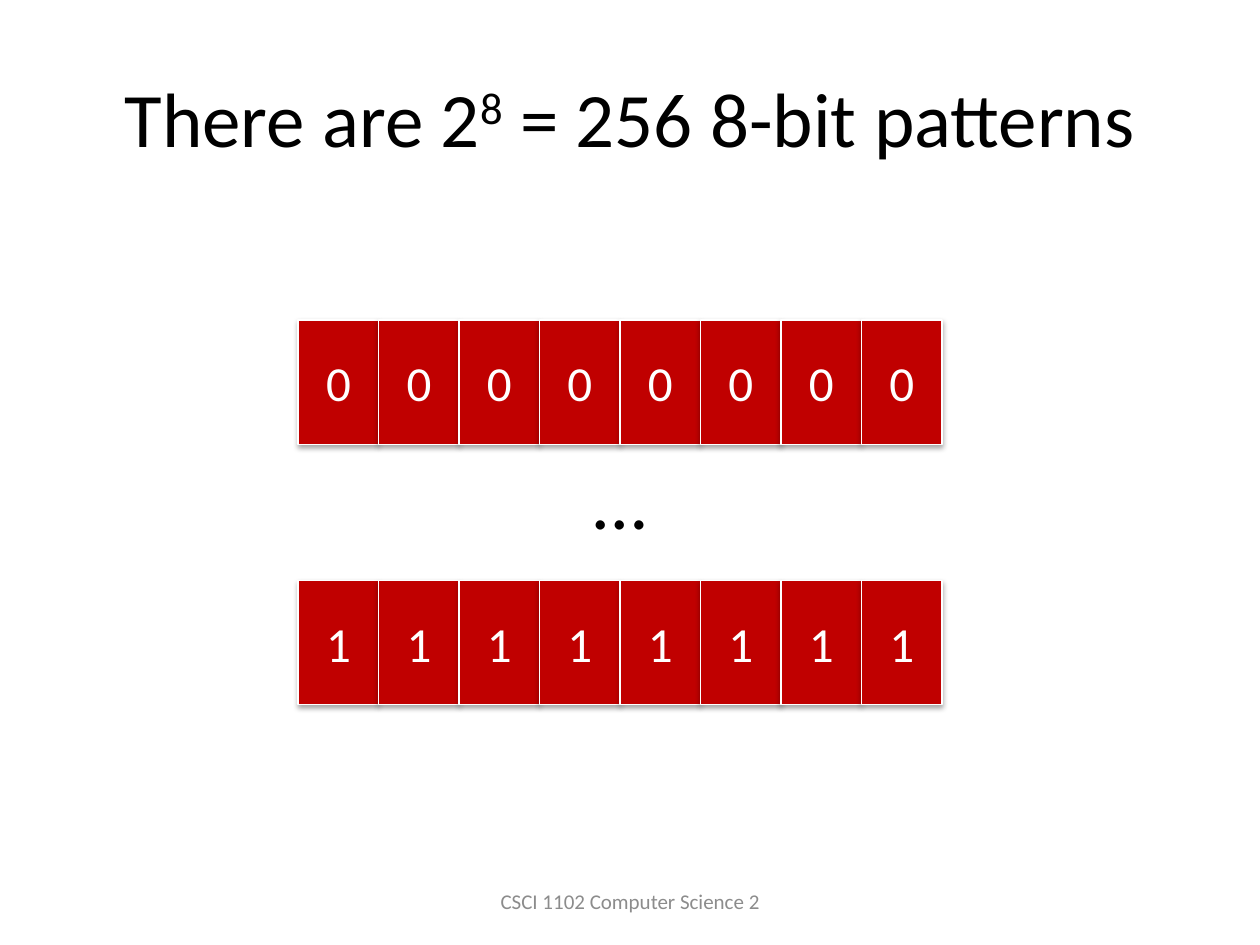
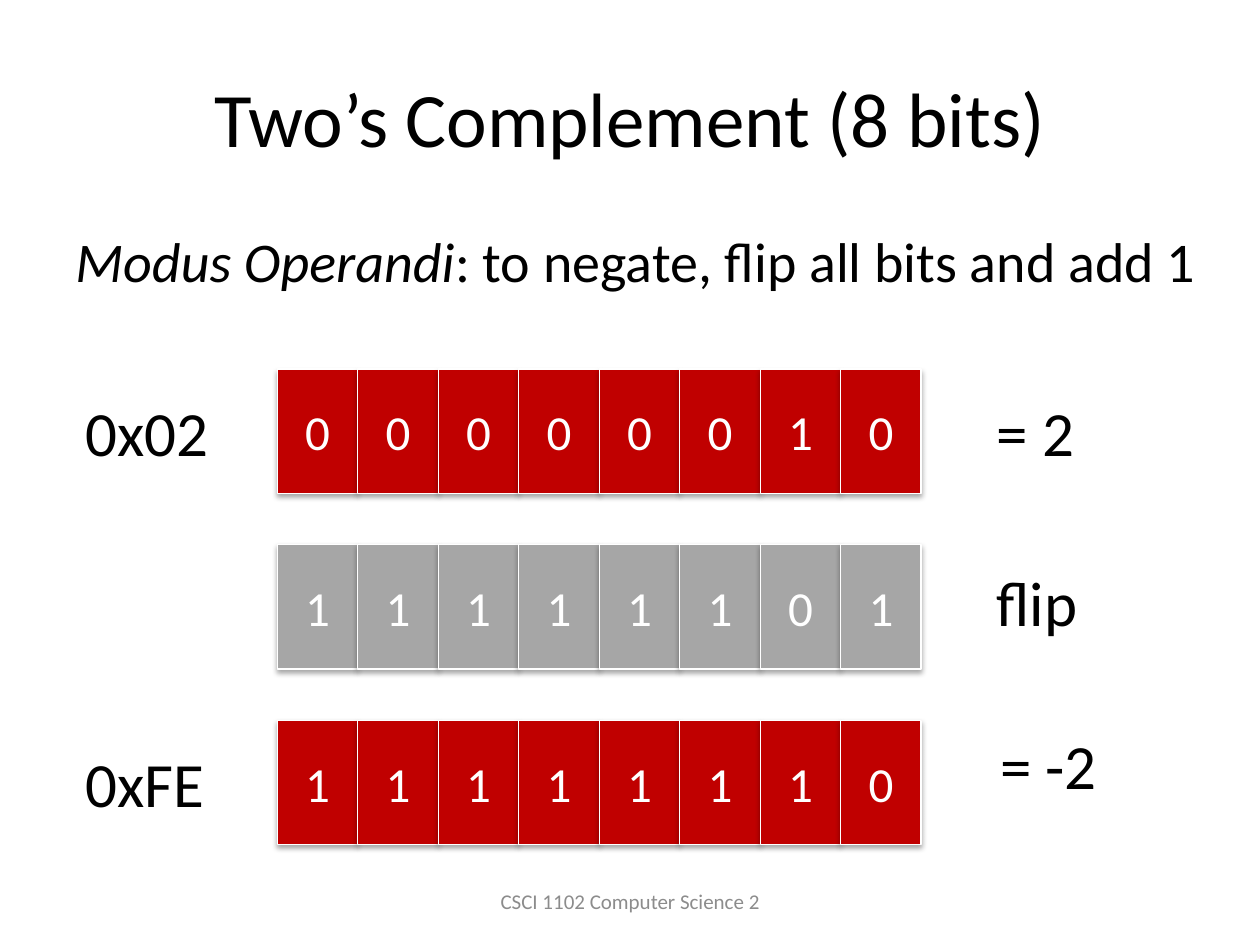
from dataclasses import dataclass

from lxml import etree
from pptx import Presentation
from pptx import util as u
from pptx.dml import color
from pptx.enum import shapes, text
from pptx.oxml import ns


@dataclass(frozen=True)
class Theme:
    font: str = "Calibri"
    ink: str = "000000"
    paper: str = "FFFFFF"
    red: str = "C00000"
    gray: str = "A6A6A6"
    muted: str = "8C8C8C"
    title: int = 44
    label: int = 36
    body: int = 32
    bit: int = 28
    foot: int = 12


THEME = Theme()
BYTE_W, BIT_H = 12.98, 2.51
MID, TOP = text.MSO_ANCHOR.MIDDLE, text.MSO_ANCHOR.TOP
LEFT, CENTER = text.PP_ALIGN.LEFT, text.PP_ALIGN.CENTER


def rgb(code):
    return color.RGBColor.from_string(code)


def write(frame, runs, size, tint, align=LEFT, anchor=TOP):
    """Fill a frame with (words, style) runs; style is "", "italic" or "super"."""
    frame.vertical_anchor = anchor
    para = frame.paragraphs[0]
    para.alignment = align
    for words, style in runs:
        run = para.add_run()
        run.text = words
        run.font.name = THEME.font
        run.font.size = u.Pt(size)
        run.font.color.rgb = rgb(tint)
        if style == "italic":
            run.font.italic = True
        elif style == "super":
            run._r.get_or_add_rPr().set("baseline", "30000")


def box(slide, at, runs, size, tint=THEME.ink, align=LEFT, anchor=TOP):
    frame = slide.shapes.add_textbox(*map(u.Cm, at)).text_frame
    frame.word_wrap = True
    write(frame, runs, size, tint, align, anchor)
    return frame


def title(slide, runs):
    box(slide, (1.27, 0.76, 22.86, 3.18), runs, THEME.title, align=CENTER, anchor=MID)


def footer(slide):
    box(slide, (8.68, 17.65, 8.05, 1.02), [("CSCI 1102 Computer Science 2", "")],
        THEME.foot, THEME.muted, CENTER, MID)


def label(slide, left, top, width, words):
    """Place a one-line label whose box fits its words."""
    frame = box(slide, (left, top, width, 1.8), [(words, "")], THEME.label)
    frame.word_wrap = False
    frame.auto_size = text.MSO_AUTO_SIZE.SHAPE_TO_FIT_TEXT


def shade(shape):
    """Give a shape a soft shadow straight below it."""
    shape.shadow.inherit = False
    effects = shape._element.spPr.find(ns.qn("a:effectLst"))
    outer = etree.SubElement(effects, ns.qn("a:outerShdw"), blurRad=str(u.Pt(3.1)),
                             dist=str(u.Pt(1.8)), dir="5400000", rotWithShape="0")
    black = etree.SubElement(outer, ns.qn("a:srgbClr"), val=THEME.ink)
    etree.SubElement(black, ns.qn("a:alpha"), val="35000")


def byte(slide, left, top, bits, fill=THEME.red):
    """Draw a grouped row of cells, one for each bit."""
    group = slide.shapes.add_group_shape()
    width = BYTE_W / len(bits)
    for i, bit in enumerate(bits):
        at = (left + i * width, top, width, BIT_H)
        cell = group.shapes.add_shape(shapes.MSO_SHAPE.RECTANGLE, *map(u.Cm, at))
        cell.fill.solid()
        cell.fill.fore_color.rgb = rgb(fill)
        cell.line.color.rgb = rgb(THEME.paper)
        cell.line.width = u.Pt(0.75)
        shade(cell)
        write(cell.text_frame, [(bit, "")], THEME.bit, THEME.paper, CENTER, MID)


def patterns(slide):
    title(slide, [("There are 2", ""), ("8", "super"), (" = 256 8-bit patterns", "")])
    byte(slide, 6.01, 6.45, "00000000")
    box(slide, (1.07, 8.46, 22.86, 3.18), [("…", "")], THEME.title,
        align=CENTER, anchor=MID)
    byte(slide, 6.01, 11.7, "11111111")
    footer(slide)


def negate(slide):
    title(slide, [("Two’s Complement (8 bits)", "")])
    box(slide, (1.27, 4.45, 23.22, 13.44),
        [("Modus Operandi", "italic"), (": to negate, flip all bits and add 1", "")],
        THEME.body)
    footer(slide)
    rows = [("00000010", THEME.red), ("11111101", THEME.gray), ("11111110", THEME.red)]
    for i, (bits, fill) in enumerate(rows):
        byte(slide, 5.59, 7.44 + i * 3.54, bits, fill)
    for left, top, width, words in [(1.47, 7.8, 3.02, "0x02"),
                                    (1.47, 14.88, 2.95, "0xFE"),
                                    (19.84, 7.8, 2.08, "= 2"),
                                    (19.84, 11.23, 2.16, "flip"),
                                    (19.91, 14.53, 2.49, "= -2")]:
        label(slide, left, top, width, words)


def main():
    deck = Presentation()
    deck.slide_width, deck.slide_height = u.Cm(25.4), u.Cm(19.05)
    for build in (patterns, negate):
        build(deck.slides.add_slide(deck.slide_layouts[6]))
    deck.save("out.pptx")


if __name__ == "__main__":
    main()
